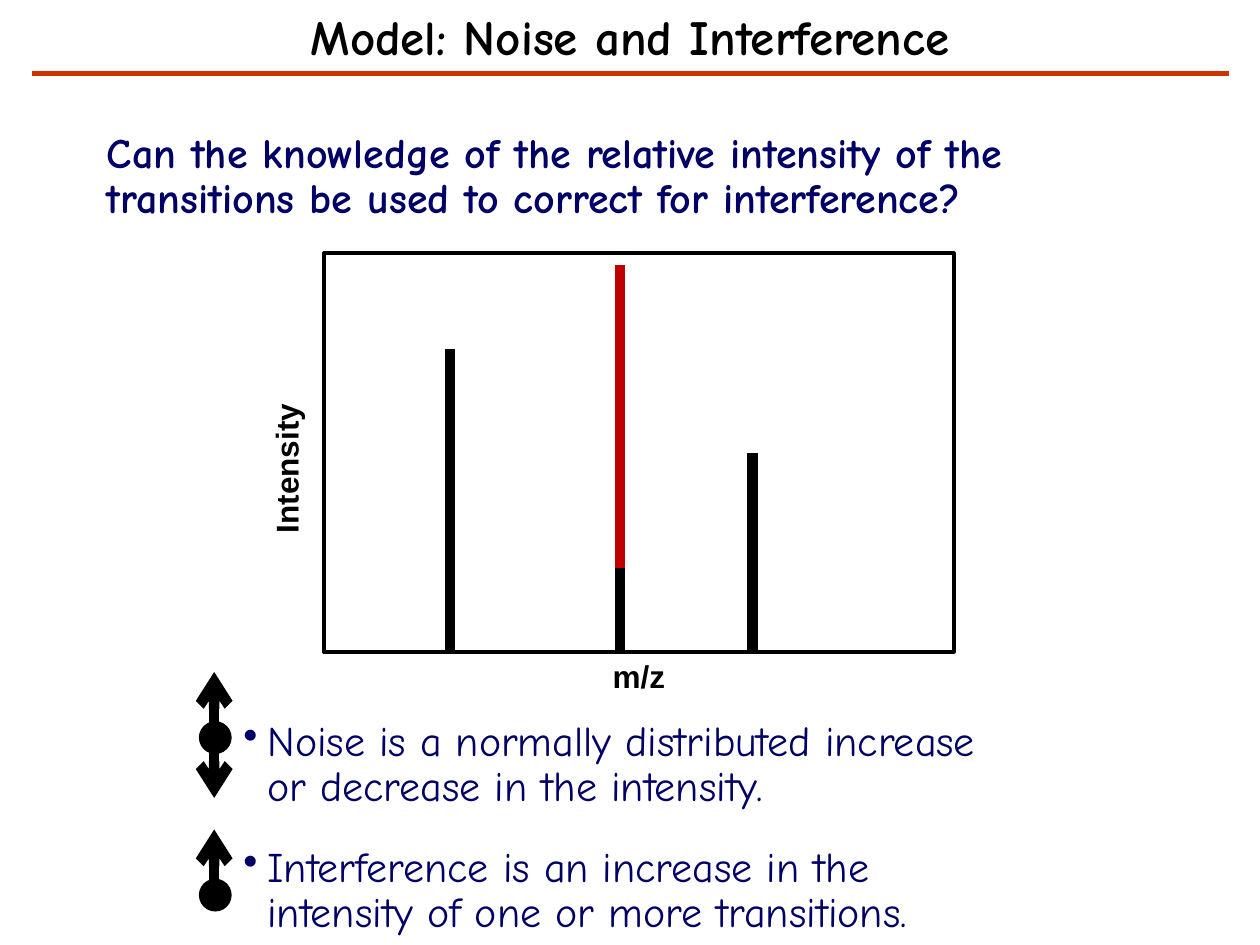
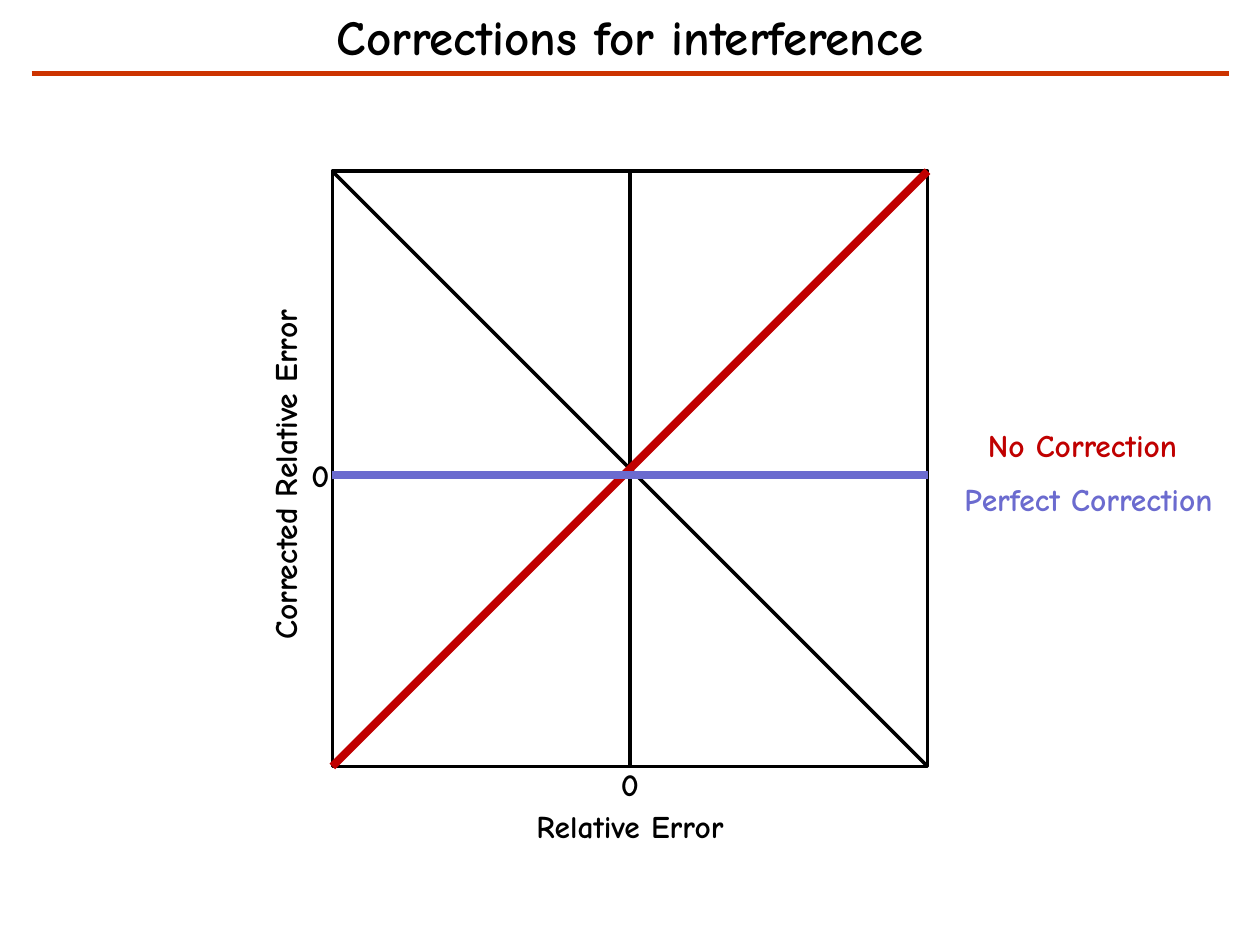
from dataclasses import dataclass

from lxml import etree
from pptx import Presentation
from pptx.dml.color import RGBColor
from pptx.enum.shapes import MSO_CONNECTOR, MSO_SHAPE
from pptx.enum.text import MSO_ANCHOR, PP_ALIGN
from pptx.oxml.ns import qn
from pptx.util import Inches, Pt

STRAIGHT = MSO_CONNECTOR.STRAIGHT
RECTANGLE, OVAL = MSO_SHAPE.RECTANGLE, MSO_SHAPE.OVAL
TOP = MSO_ANCHOR.TOP
LEFT, CENTER = PP_ALIGN.LEFT, PP_ALIGN.CENTER

WIDTH, HEIGHT = Inches(10), Inches(7.5)
COLUMNS, ROWS = 120, 90
TITLE_ONLY = 5
LABEL_ROWS = 4.8


@dataclass(frozen=True)
class Theme:
    black: str = "000000"
    rule: str = "CC3300"
    navy: str = "000066"
    red: str = "C00000"
    violet: str = "6B6BCF"
    hand: str = "Comic Neue"
    plain: str = "Arial"
    title: int = 28
    body: int = 24
    label: int = 18
    thin: float = 2
    rule_width: float = 2.5
    trend: float = 4.5
    bar: float = 6


THEME = Theme()


@dataclass(frozen=True)
class Box:
    left: float
    top: float
    width: float
    height: float

    def point(self, across, down):
        return self.left + across * self.width, self.top + down * self.height

    def place(self):
        return (*emu(self.left, self.top), *emu(self.width, self.height))


def emu(column, row):
    return round(column * WIDTH / COLUMNS), round(row * HEIGHT / ROWS)


def write(paragraph, text, size, color, font=THEME.hand, bold=True):
    run = paragraph.add_run()
    run.text = text
    run.font.name = font
    run.font.size = Pt(size)
    run.font.bold = bold
    run.font.color.rgb = RGBColor.from_string(color)


def add_line(slide, start, end, color, width, arrow=False):
    line = slide.shapes.add_connector(STRAIGHT, *emu(*start), *emu(*end))
    line.line.color.rgb = RGBColor.from_string(color)
    line.line.width = Pt(width)
    if arrow:
        outline = line.line._get_or_add_ln()
        etree.SubElement(outline, qn("a:tailEnd"), type="arrow")
    etree.SubElement(line._element.spPr, qn("a:effectLst"))


def add_outline(slide, kind, box, width, fill=None):
    shape = slide.shapes.add_shape(kind, *box.place())
    shape.shadow.inherit = False
    shape.line.color.rgb = RGBColor.from_string(THEME.black)
    shape.line.width = Pt(width)
    if fill:
        shape.fill.solid()
        shape.fill.fore_color.rgb = RGBColor.from_string(fill)
    else:
        shape.fill.background()


def add_label(slide, center, columns, text, color=THEME.black, font=THEME.hand, rotation=0):
    column, row = center
    box = Box(column - columns / 2, row - LABEL_ROWS / 2, columns, LABEL_ROWS)
    shape = slide.shapes.add_textbox(*box.place())
    shape.rotation = rotation
    shape.text_frame.word_wrap = False
    paragraph = shape.text_frame.paragraphs[0]
    paragraph.alignment = CENTER
    write(paragraph, text, THEME.label, color, font)


def add_body(slide, box, text, bold=False, bullet=False):
    frame = slide.shapes.add_textbox(*box.place()).text_frame
    frame.word_wrap = True
    paragraph = frame.paragraphs[0]
    paragraph.alignment = LEFT
    paragraph.line_spacing = 0.9
    if bullet:
        properties = paragraph._p.get_or_add_pPr()
        indent = Inches(0.19)
        properties.set("marL", str(indent))
        properties.set("indent", str(-indent))
        etree.SubElement(properties, qn("a:buChar"), char="•")
    write(paragraph, text, THEME.body, THEME.navy, bold=bold)


def add_titled_slide(presentation, text):
    slide = presentation.slides.add_slide(presentation.slide_layouts[TITLE_ONLY])
    title = slide.shapes.title
    title.left, title.top, title.width, title.height = Box(0, 1, COLUMNS, 16.8).place()
    frame = title.text_frame
    frame.margin_left = frame.margin_right = frame.margin_top = frame.margin_bottom = 0
    frame.vertical_anchor = TOP
    frame.word_wrap = True
    paragraph = frame.paragraphs[0]
    paragraph.alignment = CENTER
    paragraph.line_spacing = 0.95
    write(paragraph, text, THEME.title, THEME.black)
    add_line(slide, (3, 7), (COLUMNS - 3, 7), THEME.rule, THEME.rule_width)
    return slide


def add_spectrum(slide, box):
    add_outline(slide, RECTANGLE, box, THEME.thin)
    peaks = (
        (0.2, 0.24, 1, THEME.black),
        (0.47, 0.79, 1, THEME.black),
        (0.68, 0.5, 1, THEME.black),
        (0.47, 0.03, 0.79, THEME.red),
    )
    for across, top, bottom, color in peaks:
        add_line(slide, box.point(across, top), box.point(across, bottom), color, THEME.bar)
    add_label(slide, box.point(-0.06, 0.54), 14.9, "Intensity", font=THEME.plain, rotation=270)
    add_label(slide, box.point(0.5, 1.06), 7.4, "m/z", font=THEME.plain)


def add_note(slide, box, text, joint, directions):
    add_body(slide, box, text, bullet=True)
    column, row = box.left - 1.6, box.top + joint
    for direction in directions:
        add_line(slide, (column, row), (column, row + 6 * direction),
                 THEME.black, THEME.bar, arrow=True)
    dot = Box(box.left - 3, row - 1.25, 3, 3)
    add_outline(slide, OVAL, dot, 0.75, THEME.black)


def add_error_plot(slide, box):
    add_outline(slide, RECTANGLE, box, THEME.thin)
    middle = 0.51
    lines = (
        ((0.5, 0), (0.5, 1), THEME.black, THEME.thin),
        ((0, middle), (1, middle), THEME.black, THEME.thin),
        ((0, 0), (1, 1), THEME.black, THEME.thin),
        ((0, 1), (1, 0), THEME.black, THEME.thin),
        ((0, 1), (1, 0), THEME.red, THEME.trend),
        ((0, middle), (1, middle), THEME.violet, THEME.trend),
    )
    for start, end, color, width in lines:
        add_line(slide, box.point(*start), box.point(*end), color, width)
    labels = (
        ("Relative Error", 0.5, 1.1, 23.2, THEME.black, 0),
        ("Corrected Relative Error", -0.08, 0.51, 39, THEME.black, 270),
        ("No Correction", 1.26, 0.46, 22.8, THEME.red, 0),
        ("Perfect Correction", 1.27, 0.55, 29.9, THEME.violet, 0),
        ("0", 0.5, 1.03, 4.3, THEME.black, 0),
        ("0", -0.02, 0.51, 4.3, THEME.black, 0),
    )
    for text, across, down, columns, color, rotation in labels:
        add_label(slide, box.point(across, down), columns, text, color, rotation=rotation)


def build_model_slide(presentation):
    slide = add_titled_slide(presentation, "Model: Noise and Interference")
    add_spectrum(slide, Box(30.85, 24.1, 60, 38))
    add_body(slide, Box(9, 12, 104, 10),
             "Can the knowledge of the relative intensity of the transitions "
             "be used to correct for interference?", bold=True)
    notes = (
        ("Noise is a normally distributed increase or decrease in the intensity.", 2, (1, -1)),
        ("Interference is an increase in the intensity of one or more transitions.", 5, (-1,)),
    )
    for index, (text, joint, directions) in enumerate(notes):
        add_note(slide, Box(22, 68 + 12 * index, 76, 11), text, joint, directions)


def build_corrections_slide(presentation):
    slide = add_titled_slide(presentation, "Corrections for interference")
    add_error_plot(slide, Box(31.65, 16.3, 56.7, 56.7))


def main():
    presentation = Presentation()
    presentation.slide_width, presentation.slide_height = WIDTH, HEIGHT
    build_model_slide(presentation)
    build_corrections_slide(presentation)
    presentation.save("out.pptx")


if __name__ == "__main__":
    main()
